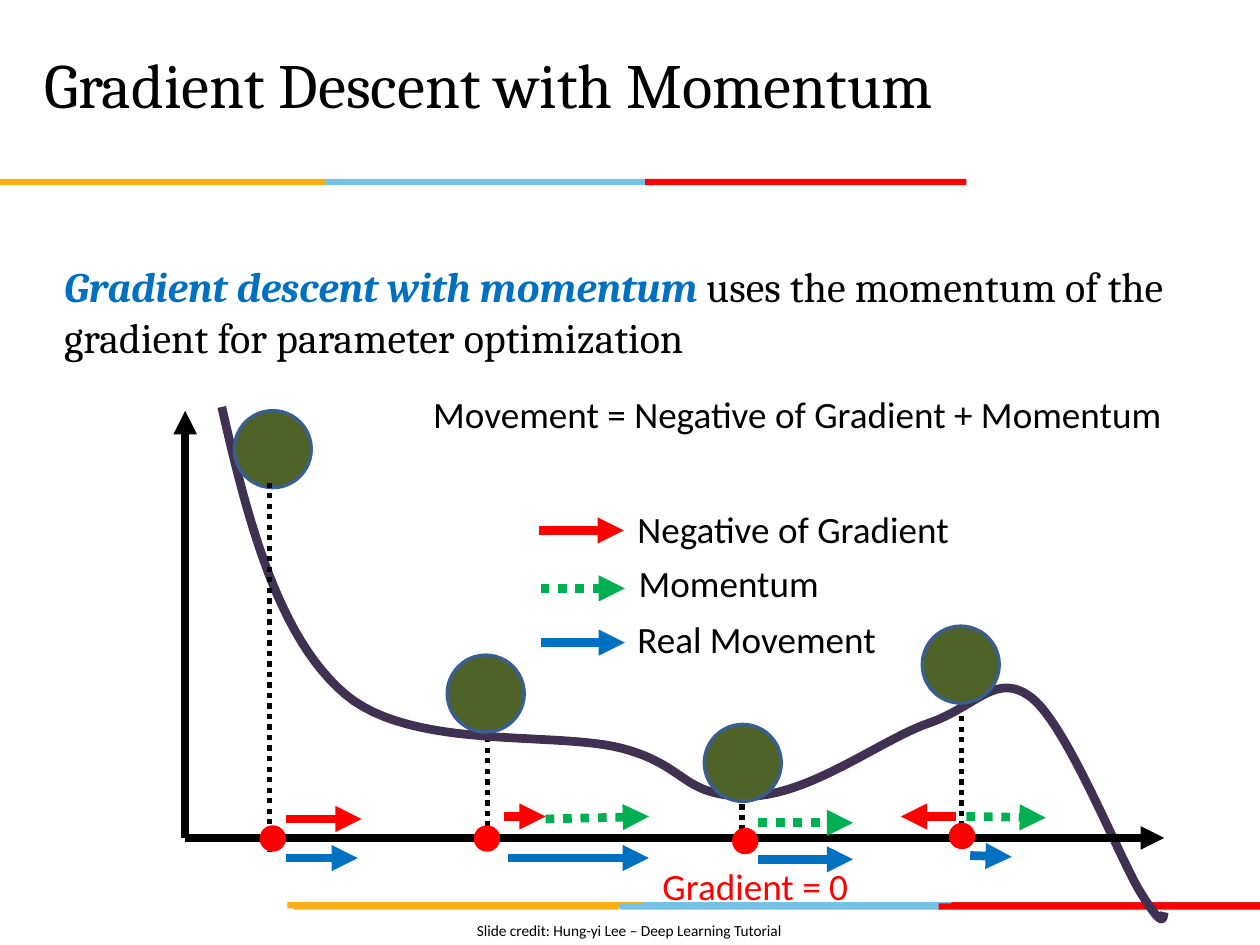
"""Build a slide on gradient descent with momentum: a loss curve, rolling balls and movement arrows."""
from lxml import etree
from pptx import Presentation
from pptx.dml.color import RGBColor
from pptx.enum.dml import MSO_LINE
from pptx.enum.shapes import MSO_CONNECTOR, MSO_SHAPE
from pptx.enum.text import MSO_ANCHOR, PP_ALIGN
from pptx.oxml.ns import qn
from pptx.util import Inches, Pt

DOTTED = MSO_LINE.ROUND_DOT
STRAIGHT = MSO_CONNECTOR.STRAIGHT
OVAL, RECT = MSO_SHAPE.OVAL, MSO_SHAPE.RECTANGLE
LEFT, CENTER = PP_ALIGN.LEFT, PP_ALIGN.CENTER
TOP, MIDDLE = MSO_ANCHOR.TOP, MSO_ANCHOR.MIDDLE

BLACK = RGBColor(0x00, 0x00, 0x00)
RED = RGBColor(0xFF, 0x00, 0x00)
GREEN = RGBColor(0x00, 0xB0, 0x50)
BLUE = RGBColor(0x00, 0x70, 0xC0)
PURPLE = RGBColor(0x40, 0x31, 0x52)
OLIVE = RGBColor(0x4F, 0x62, 0x28)
OUTLINE = RGBColor(0x3A, 0x5F, 0x8C)
YELLOW = RGBColor(0xFB, 0xAF, 0x17)
SKY = RGBColor(0x76, 0xC2, 0xE4)
CRIMSON = RGBColor(0xE2, 0x1C, 0x23)


def add_text(tf, text, size=21.2, font="Calibri", color=BLACK, align=LEFT,
             anchor=TOP, bold=False, italic=False):
    tf.word_wrap = True
    tf.vertical_anchor = anchor
    p = tf.paragraphs[0]
    p.alignment = align
    p.space_before = Pt(0)
    r = p.add_run()
    r.text = text
    r.font.name = font
    r.font.size = Pt(size)
    r.font.bold = bold
    r.font.italic = italic
    r.font.color.rgb = color


def add_line(x1, y1, x2, y2, color=BLACK, width=5, dash=None, arrow=True):
    line = s.shapes.add_connector(STRAIGHT, Inches(x1), Inches(y1), Inches(x2), Inches(y2))
    line.line.color.rgb = color
    line.line.width = Pt(width)
    if dash:
        line.line.dash_style = dash
    if arrow:
        etree.SubElement(line.line._get_or_add_ln(), qn("a:tailEnd"), type="triangle")
    etree.SubElement(line._element.spPr, qn("a:effectLst"))
    return line


prs = Presentation()
prs.slide_width, prs.slide_height = Inches(10), Inches(7.5)
s = prs.slides.add_slide(prs.slide_layouts[1])

title, body = s.placeholders
title.left, title.top, title.width, title.height = Inches(0.25), Inches(0), Inches(8.92), Inches(1.33)
add_text(title.text_frame, "Gradient Descent with Momentum", size=36, font="Cambria", anchor=MIDDLE)

body.left, body.top, body.width, body.height = Inches(0.41), Inches(2.02), Inches(9.25), Inches(5.18)
pPr = body.text_frame.paragraphs[0]._p.get_or_add_pPr()
pPr.set("marL", "0")
pPr.set("indent", "0")
etree.SubElement(pPr, qn("a:buNone"))
add_text(body.text_frame, "Gradient descent with momentum ", size=24, font="Cambria",
         color=BLUE, bold=True, italic=True)
add_text(body.text_frame, "uses the momentum of the gradient for parameter optimization",
         size=24, font="Cambria")

bars = [
    (5.07, 7.16, 2.55, SKY), (7.55, 7.16, 2.45, CRIMSON), (2.28, 7.16, 2.82, YELLOW),
    (4.92, 7.17, 2.55, SKY), (2.33, 7.17, 2.58, YELLOW), (7.45, 7.17, 2.55, RED),
    (2.58, 1.42, 2.55, SKY), (0, 1.42, 2.58, YELLOW), (5.12, 1.42, 2.55, RED),
]
for x, y, width, color in bars:
    bar = s.shapes.add_shape(RECT, Inches(x), Inches(y), Inches(width), Inches(0.05))
    bar.shadow.inherit = False
    bar.fill.solid()
    bar.fill.fore_color.rgb = color
    bar.line.fill.background()

for x, top, bottom in [(7.63, 5.35, 6.63), (3.87, 5.35, 6.64), (5.89, 6.05, 6.64)]:
    add_line(x, top, x, bottom, width=3, dash=DOTTED, arrow=False)

knots = [
    (1.76, 3.23), (1.97, 4.15), (2.21, 5.06), (2.74, 5.51), (3.27, 5.96), (4.41, 5.8),
    (4.94, 5.94), (5.46, 6.08), (5.4, 6.31), (5.91, 6.32), (6.41, 6.33), (6.99, 5.87),
    (7.37, 5.74), (7.75, 5.61), (7.91, 5.32), (8.19, 5.54), (8.47, 5.76), (8.88, 6.8),
    (9.05, 7.08), (9.23, 7.37), (9.23, 7.3), (9.24, 7.24),
]
steps = 24
points = []
for i in range(0, len(knots) - 1, 3):
    for t in (k / steps for k in range(1, steps + 1)):
        weights = ((1 - t) ** 3, 3 * t * (1 - t) ** 2, 3 * t ** 2 * (1 - t), t ** 3)
        points.append([Inches(sum(w * knot[axis] for w, knot in zip(weights, knots[i:i + 4])))
                       for axis in (0, 1)])
builder = s.shapes.build_freeform(Inches(knots[0][0]), Inches(knots[0][1]))
builder.add_line_segments(points, close=False)
curve = builder.convert_to_shape()
curve.shadow.inherit = False
curve.fill.background()
curve.line.color.rgb = PURPLE
curve.line.width = Pt(5)

add_line(1.47, 6.65, 9.24, 6.65, width=4.5)
add_line(1.47, 6.65, 1.47, 3.26, width=4.5)
first_drop = add_line(2.14, 3.83, 2.14, 6.76, width=3, dash=DOTTED, arrow=False)

balls = [(1.86, 3.26), (3.55, 5.2), (5.59, 5.75), (7.32, 4.97)]
dots = [(2.06, 6.55), (3.76, 6.55), (5.81, 6.57), (7.53, 6.53)]
ovals = []
for places, size, color, outline in [(balls, 0.61, OLIVE, OUTLINE), (dots, 0.21, RED, None)]:
    for x, y in places:
        oval = s.shapes.add_shape(OVAL, Inches(x), Inches(y), Inches(size), Inches(size))
        oval.shadow.inherit = False
        oval.fill.solid()
        oval.fill.fore_color.rgb = color
        if outline:
            oval.line.color.rgb = outline
            oval.line.width = Pt(2)
        else:
            oval.line.fill.background()
        ovals.append(oval)
ovals[0]._element.addnext(first_drop._element)

arrows = [
    (2.27, 6.5, 2.87, 6.5, RED), (2.27, 6.81, 2.84, 6.81, BLUE),
    (4, 6.48, 4.33, 6.48, RED), (4.33, 6.5, 5.15, 6.48, GREEN), (4.03, 6.81, 5.15, 6.81, BLUE),
    (6.02, 6.53, 6.77, 6.53, GREEN), (6.02, 6.82, 6.77, 6.82, BLUE),
    (7.59, 6.48, 7.15, 6.48, RED), (7.67, 6.48, 8.3, 6.49, GREEN), (7.7, 6.79, 8.03, 6.8, BLUE),
    (4.28, 4.21, 4.95, 4.21, RED), (4.29, 4.67, 4.96, 4.67, GREEN), (4.29, 5.1, 4.96, 5.1, BLUE),
]
for x1, y1, x2, y2, color in arrows:
    add_line(x1, y1, x2, y2, color, dash=DOTTED if color == GREEN else None)

labels = [
    (3.34, 3.06, 6.14, 0.81, "Movement = Negative of Gradient + Momentum", {}),
    (4.96, 3.97, 3.15, 0.46, "Negative of Gradient", {}),
    (4.97, 4.4, 2.47, 0.46, "Momentum", {}),
    (4.96, 4.84, 2.47, 0.46, "Real Movement", {}),
    (5.07, 6.8, 1.85, 0.46, "Gradient = 0", {"color": RED, "align": CENTER}),
    (1.66, 7.26, 6.67, 0.25, "Slide credit: Hung-yi Lee – Deep Learning Tutorial",
     {"size": 8.8, "align": CENTER}),
]
for x, y, width, height, text, style in labels:
    box = s.shapes.add_textbox(Inches(x), Inches(y), Inches(width), Inches(height))
    add_text(box.text_frame, text, **style)

prs.save("out.pptx")
